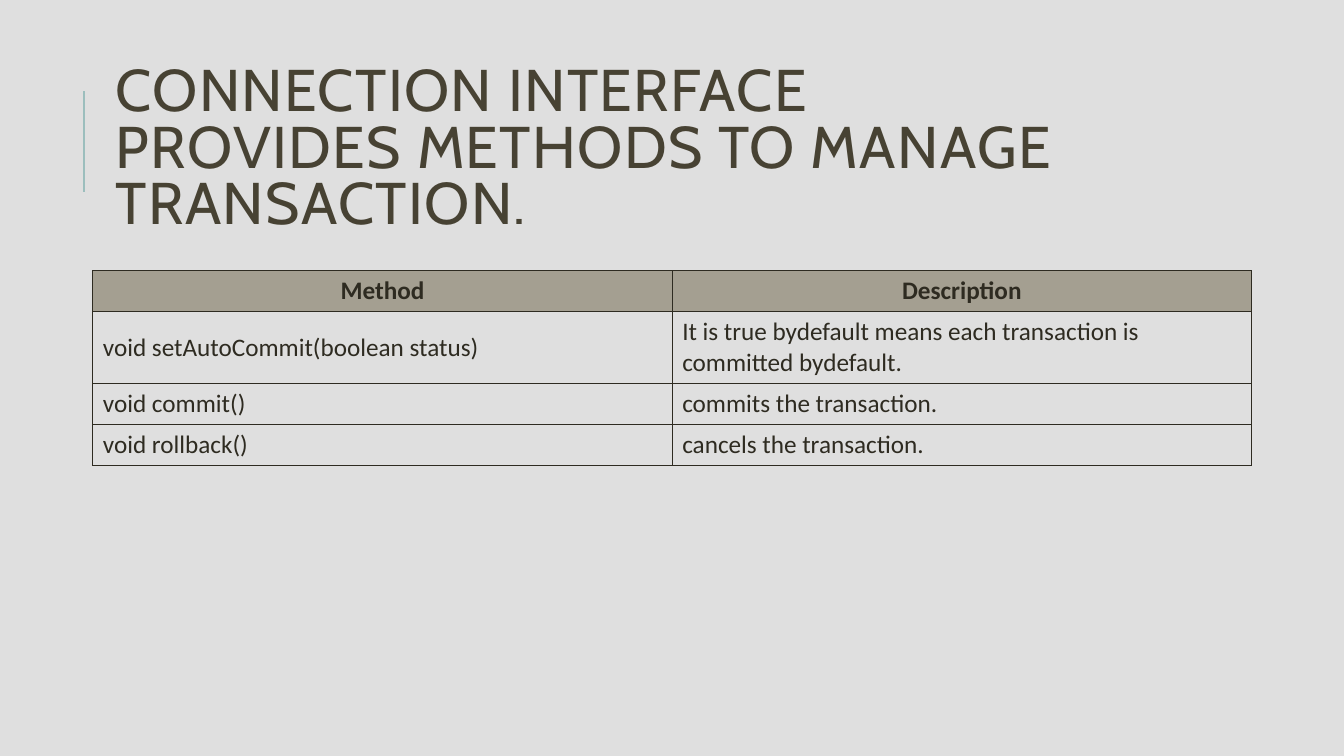
"""Build the slide on the transaction methods of the Connection interface."""
from dataclasses import dataclass

from lxml import etree
from pptx import Presentation
from pptx.dml.color import RGBColor
from pptx.enum.shapes import MSO_CONNECTOR
from pptx.enum.text import MSO_ANCHOR, PP_ALIGN
from pptx.oxml.ns import qn
from pptx.util import Cm, Pt

STRAIGHT = MSO_CONNECTOR.STRAIGHT
MIDDLE = MSO_ANCHOR.MIDDLE
LEFT = PP_ALIGN.LEFT
CENTER = PP_ALIGN.CENTER

BACKGROUND = "DFDFDF"
ACCENT = "9CBEBD"
TITLE_COLOR = "474233"
INK = "2E2B21"
HEADER_FILL = "A49F91"

TITLE = "CONNECTION INTERFACE PROVIDES METHODS TO MANAGE TRANSACTION."
COLUMN_WIDTH = 14.6


@dataclass(frozen=True)
class MethodRow:
    method: str
    description: str
    height: float = 1.03
    header: bool = False


METHOD_ROWS = [
    MethodRow("Method", "Description", header=True),
    MethodRow(
        "void setAutoCommit(boolean status)",
        "It is true bydefault means each transaction is committed bydefault.",
        height=1.82,
    ),
    MethodRow("void commit()", "commits the transaction."),
    MethodRow("void rollback()", "cancels the transaction."),
]


def color(value: str) -> RGBColor:
    return RGBColor.from_string(value)


def add_run(paragraph, text: str, font: str, size: float, ink: str, bold: bool = False):
    run = paragraph.add_run()
    run.text = text
    run.font.name = font
    run.font.size = Pt(size)
    run.font.bold = bold
    run.font.color.rgb = color(ink)
    return run


def add_accent_line(slide) -> None:
    line = slide.shapes.add_connector(STRAIGHT, Cm(2.11), Cm(4.83), Cm(2.11), Cm(2.29))
    line.line.color.rgb = color(ACCENT)
    line.line.width = Pt(1.5)
    etree.SubElement(line._element.spPr, qn("a:effectLst"))


def add_title(slide) -> None:
    box = slide.shapes.add_textbox(Cm(2.67), Cm(2.03), Cm(24.77), Cm(3.56))
    frame = box.text_frame
    frame.word_wrap = True
    frame.vertical_anchor = MIDDLE
    paragraph = frame.paragraphs[0]
    paragraph.line_spacing = 0.8
    run = add_run(paragraph, TITLE, "Cabin", 42, TITLE_COLOR)
    run._r.get_or_add_rPr().set("spc", "100")


def add_borders(cell) -> None:
    properties = cell._tc.get_or_add_tcPr()
    for position, side in enumerate(("a:lnL", "a:lnR", "a:lnT", "a:lnB")):
        border = etree.Element(qn(side), w=str(Pt(1)))
        fill = etree.SubElement(border, qn("a:solidFill"))
        etree.SubElement(fill, qn("a:srgbClr"), val=INK)
        properties.insert(position, border)


def fill_cell(cell, text: str, header: bool) -> None:
    cell.vertical_anchor = MIDDLE
    if header:
        cell.fill.solid()
        cell.fill.fore_color.rgb = color(HEADER_FILL)
    else:
        cell.fill.background()
    add_borders(cell)
    paragraph = cell.text_frame.paragraphs[0]
    paragraph.alignment = CENTER if header else LEFT
    add_run(paragraph, text, "Calibri", 18, INK, header)


def add_method_table(slide) -> None:
    height = sum(row.height for row in METHOD_ROWS)
    frame = slide.shapes.add_table(
        len(METHOD_ROWS), 2, Cm(2.34), Cm(6.82), Cm(2 * COLUMN_WIDTH), Cm(height)
    )
    table = frame.table
    table.horz_banding = False
    for column in table.columns:
        column.width = Cm(COLUMN_WIDTH)
    for index, row in enumerate(METHOD_ROWS):
        table.rows[index].height = Cm(row.height)
        fill_cell(table.cell(index, 0), row.method, row.header)
        fill_cell(table.cell(index, 1), row.description, row.header)


def main() -> None:
    presentation = Presentation()
    presentation.slide_width = Cm(33.87)
    presentation.slide_height = Cm(19.05)
    slide = presentation.slides.add_slide(presentation.slide_layouts[6])
    slide.background.fill.solid()
    slide.background.fill.fore_color.rgb = color(BACKGROUND)
    add_accent_line(slide)
    add_title(slide)
    add_method_table(slide)
    presentation.save("out.pptx")


if __name__ == "__main__":
    main()
